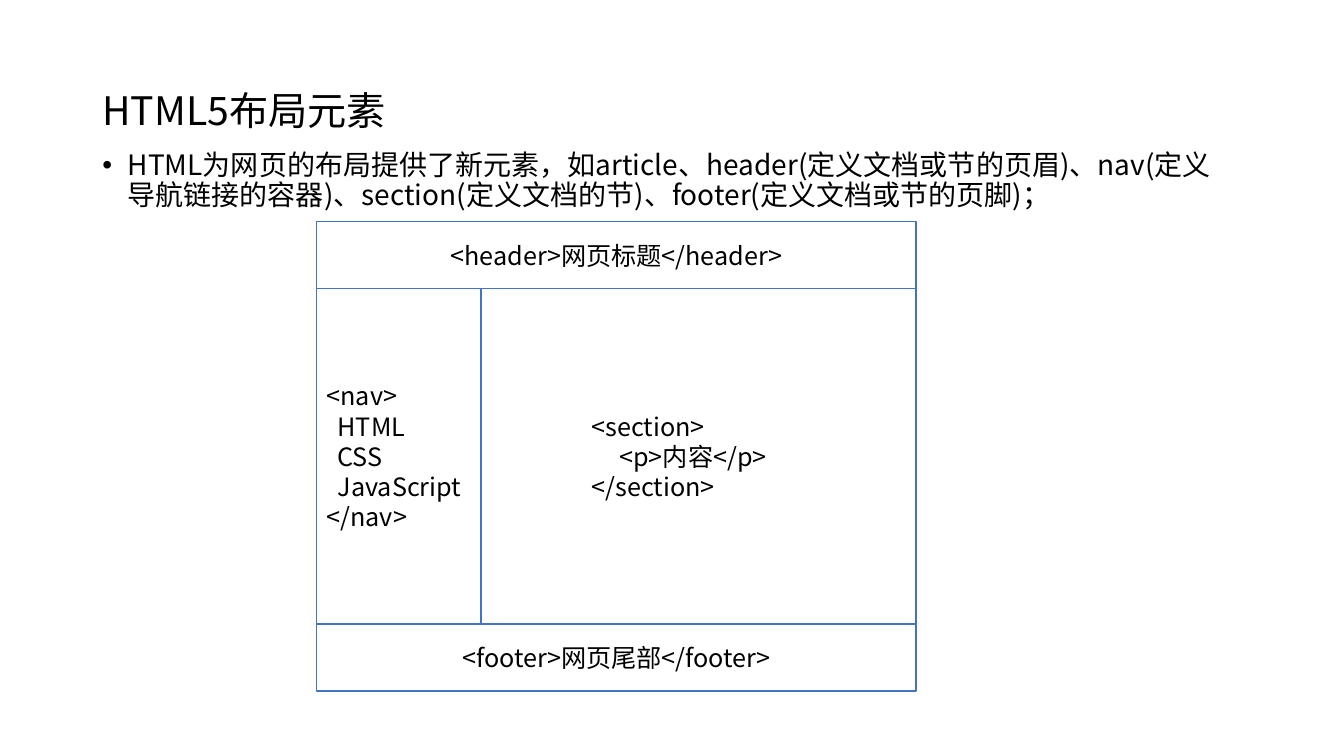
from pptx import Presentation
from pptx.util import Cm, Pt
from pptx.dml.color import RGBColor
from pptx.enum.shapes import MSO_SHAPE as Shape
from pptx.enum.text import MSO_ANCHOR as Anchor, PP_ALIGN as Align
from lxml.etree import SubElement
from pptx.oxml.ns import qn

FONT = "Noto Sans CJK SC"


def color(hex_text):
    return RGBColor.from_string(hex_text)


def write(frame, lines, size, anchor=Anchor.MIDDLE, align=Align.LEFT):
    """Fill a frame with (text, indent in cm) lines."""
    frame.word_wrap = True
    frame.vertical_anchor = anchor
    frame.text = "\n".join(text for text, indent in lines)
    for paragraph, (text, indent) in zip(frame.paragraphs, lines):
        paragraph.alignment = align
        if indent:
            paragraph._p.get_or_add_pPr().set("marL", str(Cm(indent)))
        for run in paragraph.runs:
            run.font.size = Pt(size)
            run.font.name = FONT
            run.font.color.rgb = color("000000")
            SubElement(run._r.get_or_add_rPr(), qn("a:ea"), typeface=FONT)


prs = Presentation()
prs.slide_width, prs.slide_height = Cm(33.87), Cm(19.05)
slide = prs.slides.add_slide(prs.slide_layouts[6])

# Title
title = slide.shapes.add_textbox(Cm(2.33), Cm(1.01), Cm(29.21), Cm(3.68)).text_frame
write(title, [("HTML5布局元素", 0)], 28)
title.paragraphs[0].line_spacing = 0.9

# Introduction with a bullet
intro = slide.shapes.add_textbox(Cm(2.33), Cm(3.68), Cm(28.78), Cm(2.74)).text_frame
write(intro, [("HTML为网页的布局提供了新元素，如article、header(定义文档或节的页眉)、"
               "nav(定义导航链接的容器)、section(定义文档的节)、"
               "footer(定义文档或节的页脚)；", 0.64)], 20, Anchor.TOP)
bullet_line = intro.paragraphs[0]
bullet_line.line_spacing = 0.9
bullet_line.space_before = Pt(10)
bullet_props = bullet_line._p.get_or_add_pPr()
bullet_props.set("indent", str(-Cm(0.64)))
SubElement(bullet_props, qn("a:buFont"), typeface="Arial")
SubElement(bullet_props, qn("a:buChar"), char="•")

# Page layout diagram: header, nav beside section, footer
left, top = 7.98, 5.59
page_width, nav_width = 15.11, 4.14
bar_height, middle_height = 1.68, 8.46
middle_top = top + bar_height
regions = [
    (left, top, page_width, bar_height, Align.CENTER,
     [("<header>网页标题</header>", 0)]),
    (left, middle_top, nav_width, middle_height, Align.LEFT,
     [("<nav>", 0), ("HTML", 0.28), ("CSS", 0.28), ("JavaScript", 0.28), ("</nav>", 0)]),
    (left + nav_width, middle_top, page_width - nav_width, middle_height, Align.LEFT,
     [("<section>", 2.54), ("<p>内容</p>", 3.24), ("</section>", 2.54)]),
    (left, middle_top + middle_height, page_width, bar_height, Align.CENTER,
     [("<footer>网页尾部</footer>", 0)]),
]
for x, y, width, height, align, lines in regions:
    region = slide.shapes.add_shape(Shape.RECTANGLE, Cm(x), Cm(y), Cm(width), Cm(height))
    region.shadow.inherit = False
    region.fill.solid()
    region.fill.fore_color.rgb = color("FFFFFF")
    region.line.color.rgb = color("4472C4")
    region.line.width = Pt(1)
    write(region.text_frame, lines, 18, align=align)

prs.save("out.pptx")
